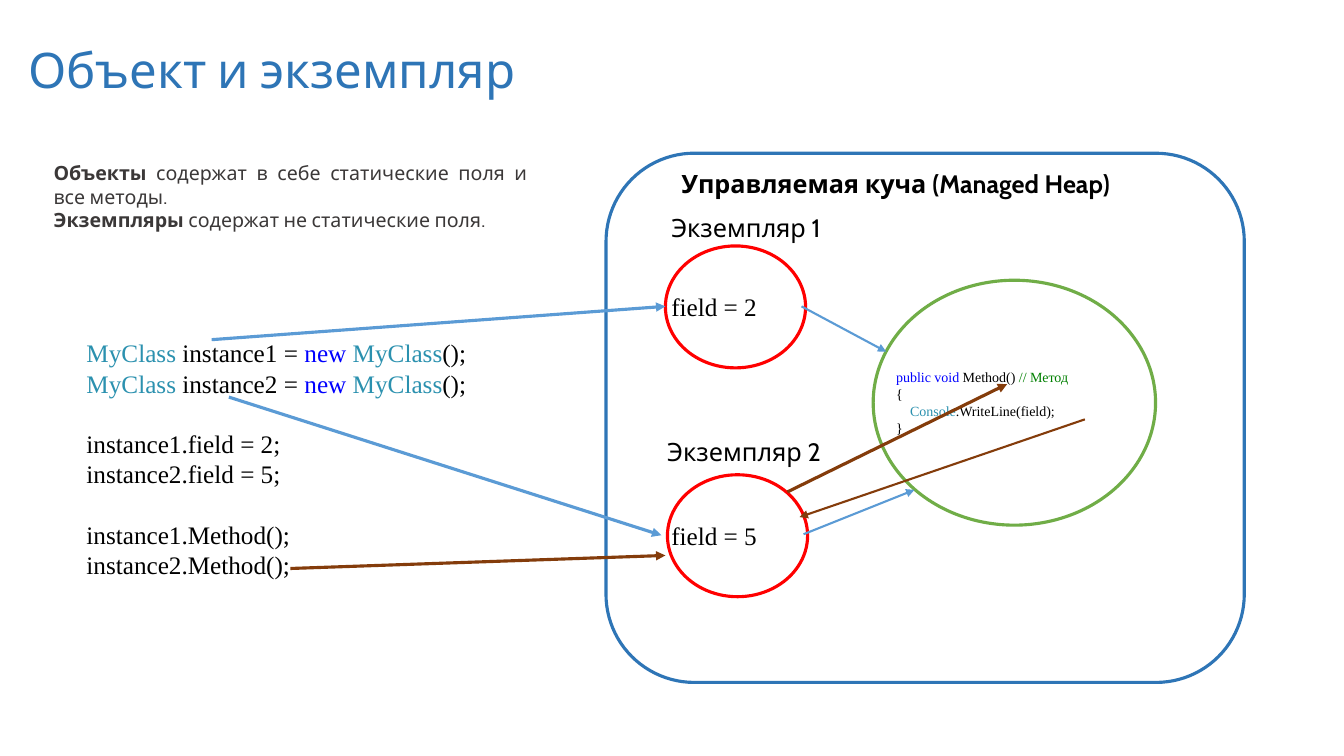
"""Build the slide that tells an object from its instances."""
from typing import Any, NamedTuple

from lxml import etree
from pptx import Presentation
from pptx.dml.color import RGBColor
from pptx.enum.shapes import MSO_CONNECTOR, MSO_SHAPE
from pptx.enum.text import MSO_ANCHOR, MSO_AUTO_SIZE, PP_ALIGN
from pptx.oxml.ns import qn
from pptx.util import Inches, Pt

LEFT, FULL = PP_ALIGN.LEFT, PP_ALIGN.JUSTIFY
TOP, FIXED = MSO_ANCHOR.TOP, MSO_AUTO_SIZE.NONE
OVAL, ROUND = MSO_SHAPE.OVAL, MSO_SHAPE.ROUNDED_RECTANGLE
WIRE = MSO_CONNECTOR.STRAIGHT
SANS, SERIF = "Cabin", "Times New Roman"
BLACK, WHITE, GREY = "000000", "FFFFFF", "3B3838"
BLUE, SKY, RED, GREEN, BROWN = "2E75B6", "5B9BD5", "FF0000", "70AD47", "843C0B"
TYPE, KEY, NOTE = "2B91AF", "0000FF", "008000"
THICK, THIN = 2.25, 1.5


class Box(NamedTuple):
    """Place and size in percent of the slide."""
    x: float
    y: float
    w: float
    h: float


class Run(NamedTuple):
    """Text of one colour."""
    text: str
    color: str = BLACK
    bold: bool = False


class Line(NamedTuple):
    """Paragraph with the gap above and the indent in points."""
    runs: list[Run]
    gap: float = 0
    indent: float = 0


class Label(NamedTuple):
    """Text block with its type style."""
    box: Box
    lines: list[Line]
    font: str = SANS
    size: float = 18
    align: PP_ALIGN = LEFT
    pitch: float = 1.0


class Form(NamedTuple):
    """Outlined shape."""
    kind: MSO_SHAPE
    box: Box
    color: str


class Arrow(NamedTuple):
    """Arrow between two points in percent of the slide."""
    start: tuple[float, float]
    end: tuple[float, float]
    color: str
    width: float


class Copy(NamedTuple):
    """Instance on the heap: number, value, ring and caption corners."""
    num: int
    value: int
    ring: tuple[float, float]
    head: tuple[float, float]


deck = Presentation()
deck.slide_width, deck.slide_height = Inches(13.33), Inches(7.5)
slide = deck.slides.add_slide(deck.slide_layouts[1])


def across(part: float) -> int:
    """Turn percent of the width into a length."""
    return int(deck.slide_width * part / 100)


def down(part: float) -> int:
    """Turn percent of the height into a length."""
    return int(deck.slide_height * part / 100)


def place(box: Box) -> dict[str, int]:
    """Give the lengths of a box by name."""
    return dict(left=across(box.x), top=down(box.y),
                width=across(box.w), height=down(box.h))


def apply(item: Any, values: dict[str, Any]) -> None:
    """Set each named value on the item."""
    for name, value in values.items():
        setattr(item, name, value)


def paint(color: str) -> RGBColor:
    """Read a hex colour."""
    return RGBColor.from_string(color)


def write(label: Label, shape: Any = None) -> None:
    """Write a label into a placeholder or a new text box."""
    shape = shape or slide.shapes.add_textbox(0, 0, 0, 0)
    apply(shape, place(label.box))
    frame = shape.text_frame
    apply(frame, dict(word_wrap=True, auto_size=FIXED, vertical_anchor=TOP))
    for i, line in enumerate(label.lines):
        para = frame.add_paragraph() if i else frame.paragraphs[0]
        apply(para, dict(alignment=label.align, space_before=Pt(line.gap),
                         space_after=Pt(0), line_spacing=label.pitch))
        props = para._p.get_or_add_pPr()
        props.set("marL", str(Pt(line.indent)))
        props.set("indent", "0")
        etree.SubElement(props, qn("a:buNone"))
        for part in line.runs:
            run = para.add_run()
            run.text = part.text
            apply(run.font, dict(name=label.font, size=Pt(label.size),
                                 bold=part.bold))
            run.font.color.rgb = paint(part.color)


def outline(form: Form) -> None:
    """Draw a white shape with a coloured edge."""
    shape = slide.shapes.add_shape(form.kind, **place(form.box))
    shape.shadow.inherit = False
    shape.fill.solid()
    shape.fill.fore_color.rgb = paint(WHITE)
    shape.line.color.rgb = paint(form.color)
    shape.line.width = Pt(THICK)


def link(arrow: Arrow) -> None:
    """Draw an arrow."""
    (x1, y1), (x2, y2) = arrow.start, arrow.end
    wire = slide.shapes.add_connector(
        WIRE, across(x1), down(y1), across(x2), down(y2))
    wire.line.color.rgb = paint(arrow.color)
    wire.line.width = Pt(arrow.width)
    etree.SubElement(wire.line._get_or_add_ln(), qn("a:tailEnd"), type="triangle")
    etree.SubElement(wire._element.spPr, qn("a:effectLst"))


def create(num: int) -> Line:
    """Give the code line that makes an instance."""
    return Line([Run("MyClass", TYPE), Run(f" instance{num} = "),
                 Run("new ", KEY), Run("MyClass", TYPE), Run("();")])


COPIES = [Copy(1, 2, (49.51, 32.53), (49.21, 27.47)),
          Copy(2, 5, (49.66, 62.8), (48.91, 57.07))]
GAP = 21.6
TITLE = Label(Box(1.35, 4.53, 45.09, 9.2),
              [Line([Run("Объект и экземпляр", BLUE)])], size=35)
BODY = Label(Box(3.23, 20.67, 36.76, 10.8), [
    Line([Run("Объекты", GREY, True),
          Run(" содержат в себе статические поля и все методы.", GREY)]),
    Line([Run("Экземпляры ", GREY, True),
          Run("содержат не статические поля.", GREY)])], size=14, align=FULL)
CODE = Label(Box(5.7, 44, 52.36, 33.6), [
    *[create(c.num) for c in COPIES],
    *[Line([Run(f"instance{c.num}.field = {c.value};")], 0 if i else GAP)
      for i, c in enumerate(COPIES)],
    *[Line([Run(f"instance{c.num}.Method();")], 0 if i else GAP)
      for i, c in enumerate(COPIES)]], SERIF)
METHOD = Label(Box(65.94, 48.13, 21.76, 10.27), [
    Line([Run("public void", KEY), Run(" Method() "), Run("// Метод", NOTE)]),
    Line([Run("{")]),
    Line([Run("Console", TYPE), Run(".WriteLine(field);")], indent=10),
    Line([Run("}")])], SERIF, 10)
HEAP = Label(Box(49.96, 21.6, 37.81, 5.33),
             [Line([Run("Управляемая куча (Managed Heap)", bold=True)])])
ARROWS = [
    Arrow((15.75, 44.93), (49.51, 40.53), SKY, THICK),
    Arrow((17.03, 52.53), (49.21, 70.8), SKY, THICK),
    Arrow((59.64, 40.53), (65.94, 46.53), SKY, THIN),
    Arrow((59.79, 70.67), (68.04, 64.8), SKY, THIN),
    Arrow((21.61, 75.2), (49.51, 73.47), BROWN, THICK),
    Arrow((58.59, 65.07), (74.94, 50.8), BROWN, THICK),
    Arrow((80.72, 55.47), (59.49, 68.4), BROWN, THIN)]

write(TITLE, slide.shapes.title)
write(BODY, slide.placeholders[1])
outline(Form(ROUND, Box(45.09, 20.27, 47.49, 70), BLUE))
write(CODE)
outline(Form(OVAL, Box(64.97, 37.07, 21.01, 32.4), GREEN))
write(METHOD)
write(HEAP)
for c in COPIES:
    outline(Form(OVAL, Box(*c.ring, 10.43, 16.13), RED))
    write(Label(Box(49.21, c.ring[1] + 5.33, 8.33, 5.33),
                [Line([Run(f"field = {c.value}")])], SERIF))
    write(Label(Box(*c.head, 13.88, 5.33), [Line([Run(f"Экземпляр {c.num}")])]))
for arrow in ARROWS:
    link(arrow)
deck.save("out.pptx")
